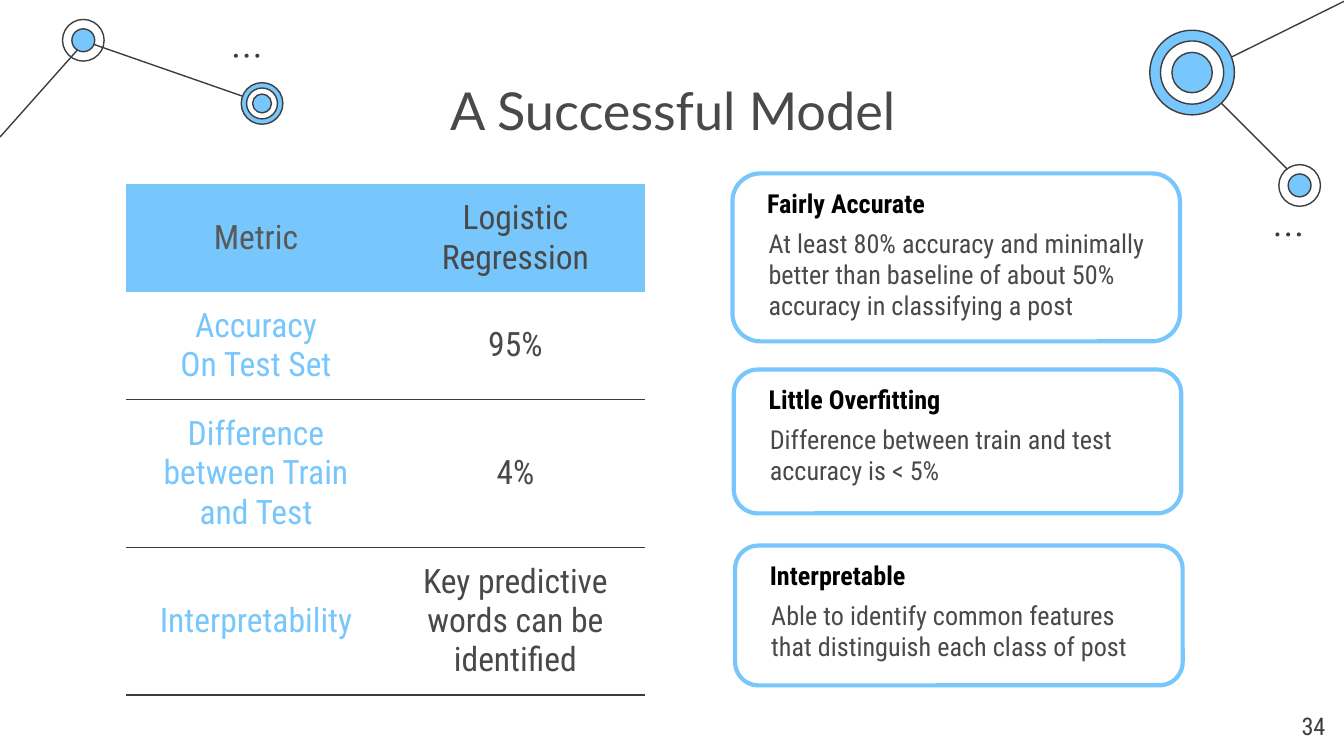
"""Build the "A Successful Model" slide with a metric table and three goal cards."""
from dataclasses import dataclass

from lxml.etree import SubElement
from pptx import Presentation
from pptx.dml.color import RGBColor
from pptx.enum.shapes import MSO_CONNECTOR as Connector, MSO_SHAPE as Shape
from pptx.enum.text import MSO_ANCHOR as Anchor, PP_ALIGN as Align
from pptx.oxml import parse_xml
from pptx.oxml.ns import nsdecls, qn
from pptx.util import Pt

PX = 9144
PLAIN_TABLE = "{2D5ABB26-0587-4C30-8999-92F81FD0307C}"


@dataclass(frozen=True)
class Theme:
    blue: str = "77C6FC"
    ink: str = "3D3D3D"
    text: str = "494949"
    metric: str = "595959"
    black: str = "000000"
    white: str = "FFFFFF"
    title_font: str = "Lato"
    body_font: str = "Roboto Condensed"
    title_size: int = 28
    table_size: int = 18
    card_size: int = 14
    number_size: int = 13
    thin: float = 0.75
    thick: float = 2.25


THEME = Theme()

LINKS = [(967, 135, 887, 55), (64, 31, 196, 77), (0, 102, 64, 30), (1000, 1, 891, 55)]
NODES = [
    (62, 30, [(31, None), (17, THEME.blue)]),
    (195, 77, [(31, THEME.blue), (23, THEME.white), (14, THEME.blue)]),
    (887, 54, [(63, THEME.blue), (47, THEME.white), (30, THEME.blue)]),
    (967, 138, [(31, THEME.white), (17, THEME.blue)]),
]
DOT_ROWS = [(174, 40), (949, 173)]
CARDS = [
    (545, 129, 125, "Fairly Accurate",
     "At least 80% accuracy and minimally better than baseline of about 50% "
     "accuracy in classifying a post"),
    (546, 275, 107, "Little Overfitting",
     "Difference between train and test accuracy is < 5%"),
    (547, 406, 104, "Interpretable",
     "Able to identify common features that distinguish each class of post"),
]
ROWS = [
    ("Metric", "Logistic Regression"),
    ("Accuracy\nOn Test Set", "95%"),
    ("Difference between Train and Test", "4%"),
    ("Interpretability", "Key predictive words can be identified"),
]


def px(*lengths):
    """Turn px lengths into EMU."""
    return [round(length * PX) for length in lengths]


def rgb(colour):
    """Return a colour object for a hex string."""
    return RGBColor.from_string(colour)


def set_margins(holder):
    """Give a text frame or a cell equal margins."""
    for side in ("left", "top", "right", "bottom"):
        setattr(holder, f"margin_{side}", px(10)[0])


def write(frame, text, size, colour, font=THEME.body_font, bold=False, align=Align.LEFT):
    """Put text in a frame and format every run alike."""
    frame.text = text
    for para in frame.paragraphs:
        para.alignment = align
        for span in para.runs:
            span.font.size = Pt(size)
            span.font.name = font
            span.font.bold = bold
            span.font.color.rgb = rgb(colour)


def set_frame(frame, anchor):
    """Set wrapping, anchor and margins of a text frame."""
    frame.word_wrap = True
    frame.vertical_anchor = anchor
    set_margins(frame)


def add_title(page, text):
    """Place and format the title placeholder."""
    title = page.shapes.title
    title.left, title.top, title.width, title.height = px(172, 48, 657, 65)
    set_frame(title.text_frame, Anchor.TOP)
    write(title.text_frame, text, THEME.title_size, THEME.text,
          font=THEME.title_font, align=Align.CENTER)


def add_text(page, bounds, text, size, colour, anchor=Anchor.TOP, **style):
    """Add a text box."""
    box = page.shapes.add_textbox(*px(*bounds))
    set_frame(box.text_frame, anchor)
    write(box.text_frame, text, size, colour, **style)


def add_outline(page, kind, bounds, fill, line, width):
    """Add a preset shape with an optional fill and line."""
    shape = page.shapes.add_shape(kind, *px(*bounds))
    shape.shadow.inherit = False
    if fill:
        shape.fill.solid()
        shape.fill.fore_color.rgb = rgb(fill)
    else:
        shape.fill.background()
    if line:
        shape.line.color.rgb = rgb(line)
        shape.line.width = Pt(width)
    else:
        shape.line.fill.background()


def add_link(page, ends):
    """Add a thin line between two points."""
    link = page.shapes.add_connector(Connector.STRAIGHT, *px(*ends))
    link.line.color.rgb = rgb(THEME.ink)
    link.line.width = Pt(THEME.thin)
    SubElement(link._element.spPr, qn("a:effectLst"))


def add_node(page, x, y, rings):
    """Add concentric rings around a centre."""
    for size, fill in rings:
        bounds = (x - size / 2, y - size / 2, size, size)
        add_outline(page, Shape.OVAL, bounds, fill, THEME.ink, THEME.thin)


def add_dots(page, left, top):
    """Add a row of three dots."""
    for step in range(3):
        add_outline(page, Shape.OVAL, (left + 8 * step, top, 3, 3), THEME.ink, None, 0)


def add_card(page, left, top, height, heading, body):
    """Add a rounded card with a heading and a body."""
    add_outline(page, Shape.ROUNDED_RECTANGLE, (left, top, 333, height),
                None, THEME.blue, THEME.thick)
    add_text(page, (left + 16, top - 3, 173, 50), heading, THEME.card_size,
             THEME.black, bold=True, anchor=Anchor.MIDDLE)
    add_text(page, (left + 17, top + 30, 300, 67), body, THEME.card_size, THEME.text)


def set_bottom_border(cell, colour):
    """Draw a thin line under a cell."""
    border = (f'<a:lnB {nsdecls("a")} w="{Pt(THEME.thin)}"><a:solidFill>'
              f'<a:srgbClr val="{colour}"/></a:solidFill></a:lnB>')
    cell._tc.get_or_add_tcPr().insert(0, parse_xml(border))


def add_metric_table(page):
    """Add the table of metrics."""
    table = page.shapes.add_table(len(ROWS), 2, *px(94, 137, 386, 269)).table
    table._tbl.tblPr.find(qn("a:tableStyleId")).text = PLAIN_TABLE
    table.horz_banding = False
    table.first_row = False
    for column in table.columns:
        column.width = px(193)[0]
    for row_index, texts in enumerate(ROWS):
        header = row_index == 0
        table.rows[row_index].height = px(65 if header else 68)[0]
        for column_index, text in enumerate(texts):
            cell = table.cell(row_index, column_index)
            label = THEME.metric if header else THEME.blue
            write(cell.text_frame, text, THEME.table_size,
                  THEME.text if column_index else label, align=Align.CENTER)
            cell.vertical_anchor = Anchor.MIDDLE
            set_margins(cell)
            cell.fill.solid()
            cell.fill.fore_color.rgb = rgb(THEME.blue if header else THEME.white)
            set_bottom_border(cell, THEME.blue if header else THEME.ink)


def main():
    """Build and save the deck."""
    deck = Presentation()
    deck.slide_width = px(1000)[0]
    deck.slide_height = deck.slide_width * 9 // 16
    page = deck.slides.add_slide(deck.slide_layouts[5])
    for ends in LINKS:
        add_link(page, ends)
    for node in NODES:
        add_node(page, *node)
    for corner in DOT_ROWS:
        add_dots(page, *corner)
    add_title(page, "A Successful Model")
    for card in CARDS:
        add_card(page, *card)
    add_metric_table(page)
    add_text(page, (936, 519, 60, 43), "34", THEME.number_size, THEME.ink, align=Align.RIGHT)
    deck.save("out.pptx")


if __name__ == "__main__":
    main()
